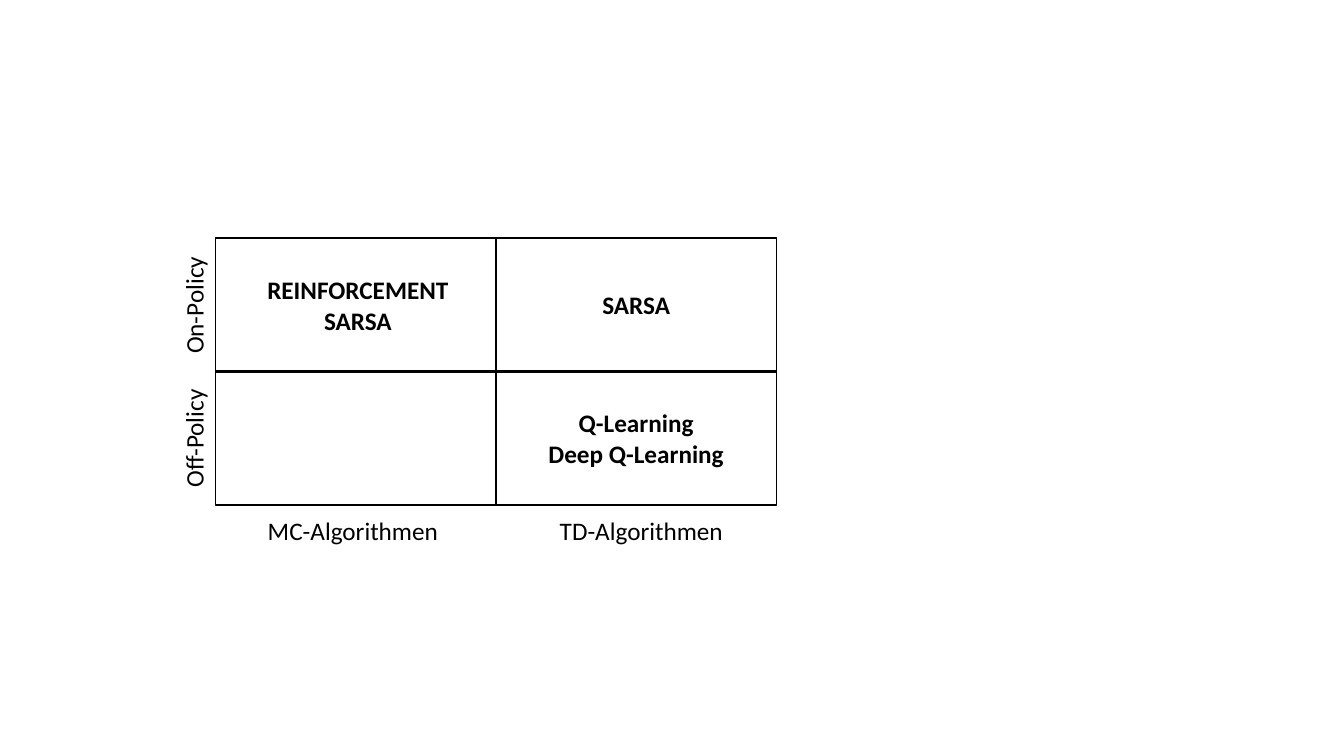
from pptx import Presentation
from pptx.dml.color import RGBColor
from pptx.enum.shapes import MSO_SHAPE
from pptx.enum.text import MSO_AUTO_SIZE, PP_ALIGN
from pptx.util import Inches, Pt

BLACK = RGBColor(0, 0, 0)
RECTANGLE = MSO_SHAPE.RECTANGLE
CENTER = PP_ALIGN.CENTER
FIT_SHAPE = MSO_AUTO_SIZE.SHAPE_TO_FIT_TEXT
BLANK_LAYOUT = 6

GRID_LEFT, GRID_TOP = 2.14, 2.36
CELL_WIDTH, CELL_HEIGHT = 2.78, 1.33
ROW_STEP = 1.32
ONE_LINE, TWO_LINES = 0.4, 0.71

# Text, centre x, centre y, width, height
ALGORITHMS = [
    ("REINFORCEMENT\nSARSA", 3.55, 3.03, 2.01, TWO_LINES),
    ("SARSA", 6.31, 3.02, 0.88, ONE_LINE),
    ("Q-Learning\nDeep Q-Learning", 6.31, 4.35, 1.96, TWO_LINES),
]
COLUMN_LABELS = [
    ("MC-Algorithmen", 3.5, 5.26, 1.91, ONE_LINE),
    ("TD-Algorithmen", 6.36, 5.26, 1.84, ONE_LINE),
]
ROW_LABELS = [
    ("On-Policy", 1.92, 3.03, 1.17, ONE_LINE),
    ("Off-Policy", 1.92, 4.35, 1.19, ONE_LINE),
]


def add_cell(slide, row, column):
    """Add one outlined cell of the two-by-two matrix."""
    cell = slide.shapes.add_shape(
        RECTANGLE,
        Inches(GRID_LEFT + column * CELL_WIDTH),
        Inches(GRID_TOP + row * ROW_STEP),
        Inches(CELL_WIDTH),
        Inches(CELL_HEIGHT),
    )
    cell.shadow.inherit = False
    cell.fill.background()
    cell.line.color.rgb = BLACK
    cell.line.width = Pt(1)


def add_label(slide, text, center_x, center_y, width, height, bold=False, rotation=0):
    """Add centred text around a point; line feeds become line breaks."""
    label = slide.shapes.add_textbox(
        Inches(center_x - width / 2),
        Inches(center_y - height / 2),
        Inches(width),
        Inches(height),
    )
    label.rotation = rotation
    frame = label.text_frame
    frame.word_wrap = False
    frame.auto_size = FIT_SHAPE
    paragraph = frame.paragraphs[0]
    paragraph.text = text
    paragraph.alignment = CENTER
    font_format = {"name": "Calibri", "size": Pt(18), "bold": bold}
    for run in paragraph.runs:
        for attribute, value in font_format.items():
            setattr(run.font, attribute, value)
        run.font.color.rgb = BLACK


def main():
    """Build the matrix of algorithms by policy and method."""
    presentation = Presentation()
    presentation.slide_width = Inches(13.33)
    presentation.slide_height = Inches(7.5)
    slide = presentation.slides.add_slide(presentation.slide_layouts[BLANK_LAYOUT])

    for row in range(2):
        for column in range(2):
            add_cell(slide, row, column)
    for algorithm in ALGORITHMS:
        add_label(slide, *algorithm, bold=True)
    for column_label in COLUMN_LABELS:
        add_label(slide, *column_label)
    for row_label in ROW_LABELS:
        add_label(slide, *row_label, rotation=270)

    presentation.save("out.pptx")


main()
